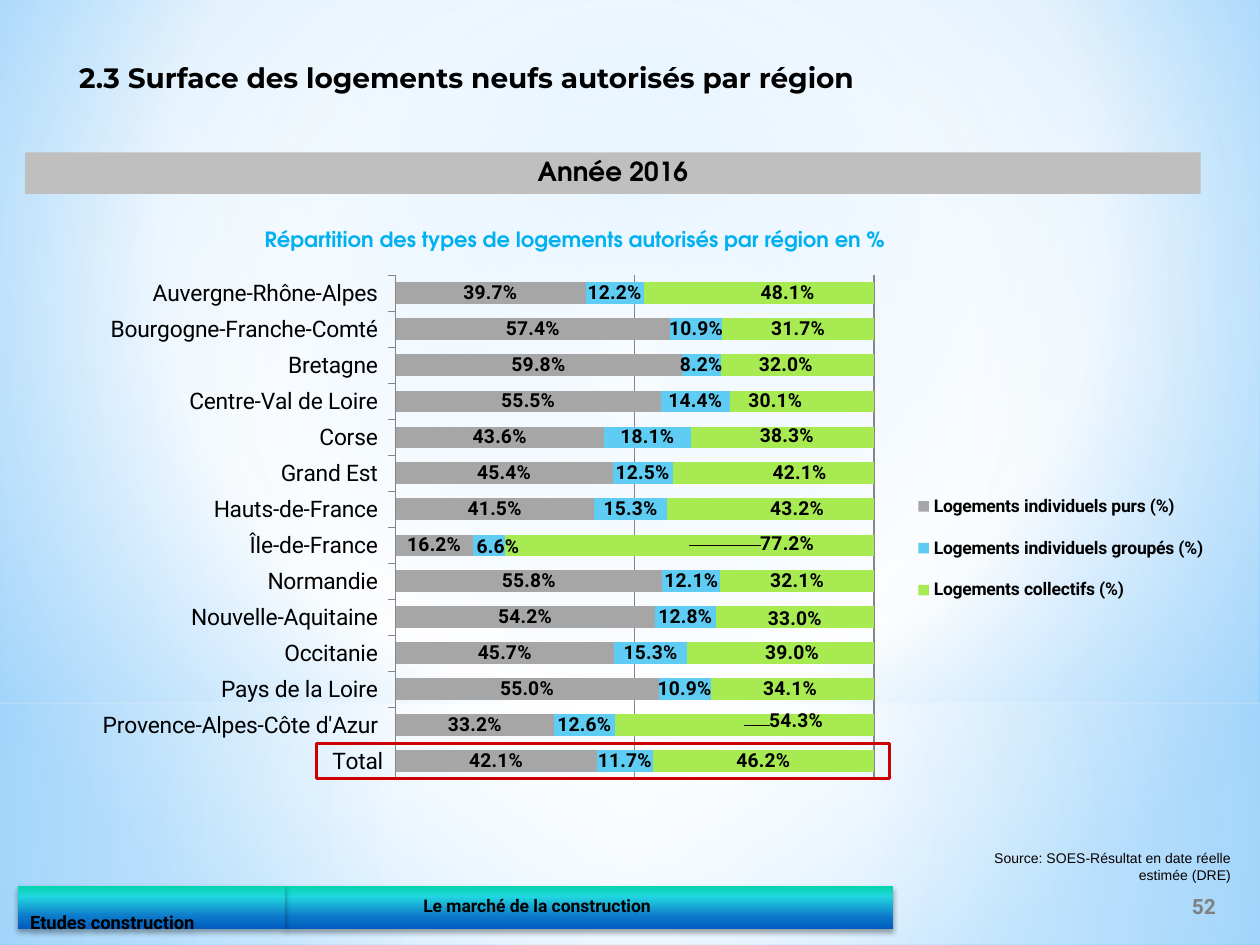
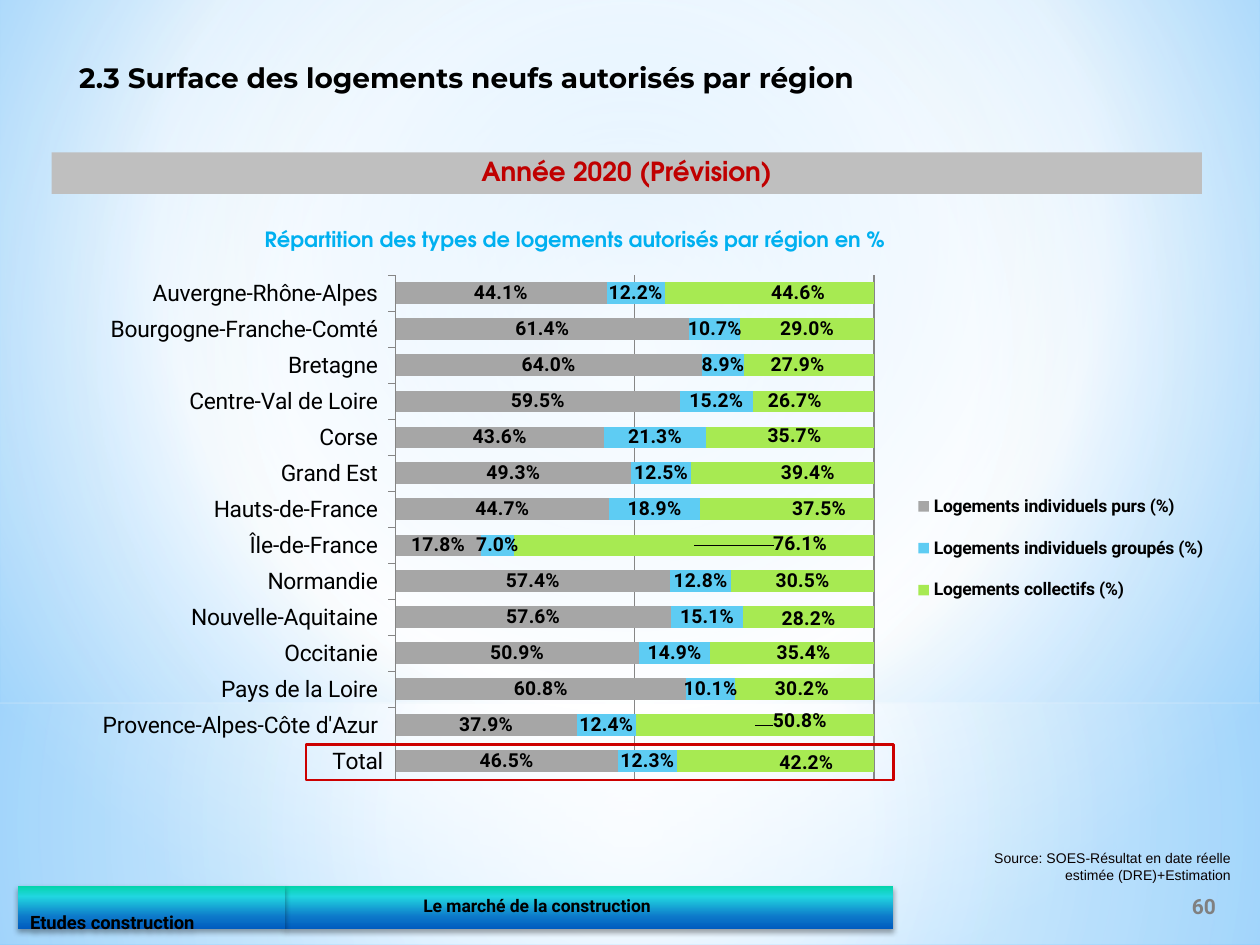
from dataclasses import dataclass, field
from typing import Any, Optional

import pptx
import pptx.chart.data
import pptx.dml.color
import pptx.enum.chart
import pptx.enum.shapes
import pptx.enum.text
import pptx.oxml
import pptx.oxml.ns
import pptx.util

COLORS = {
    "black": "000000", "source": "080000", "grey": "808080", "band": "BFBFBF",
    "axis": "868686", "subtitle": "00B0F0", "forecast": "C00000", "frame": "CC0000",
    "pure": "A6A6A6", "grouped": "5ECCF3", "collective": "A7EA52",
    "white": "FFFFFF", "haze": "B4DCFA", "sky": "9ED5FF", "azure": "5BB9FF",
    "mint": "03D4A8", "turquoise": "21D6E0", "ocean": "0D79CA", "navy": "005CBF",
}
BODY, HEAD, TITLE, PLAIN = "Roboto", "TeX Gyre Adventor", "Montserrat", "Arial"

# The slide is a grid of 100 columns by 75 rows.
WIDTH, HEIGHT = pptx.util.Inches(10), pptx.util.Inches(7.5)
COL, ROW = WIDTH / 100, HEIGHT / 75

ALIGN = pptx.enum.text.PP_ALIGN
ANCHOR = pptx.enum.text.MSO_ANCHOR
qn = pptx.oxml.ns.qn

REGIONS = [
    "Auvergne-Rhône-Alpes", "Bourgogne-Franche-Comté", "Bretagne", "Centre-Val de Loire",
    "Corse", "Grand Est", "Hauts-de-France", "Île-de-France", "Normandie",
    "Nouvelle-Aquitaine", "Occitanie", "Pays de la Loire", "Provence-Alpes-Côte d'Azur",
]
SERIES = {
    "Logements individuels purs (%)": "pure",
    "Logements individuels groupés (%)": "grouped",
    "Logements collectifs (%)": "collective",
}


@dataclass(frozen=True)
class Box:
    """A place on the grid, in columns and rows."""
    x: float
    y: float
    w: float
    h: float

    def emu(self) -> tuple[int, int, int, int]:
        return (round(self.x * COL), round(self.y * ROW),
                round(self.w * COL), round(self.h * ROW))


@dataclass(frozen=True)
class Style:
    size: float
    font: str = BODY
    color: str = "black"
    bold: bool = True
    align: Any = ALIGN.LEFT
    anchor: Any = ANCHOR.TOP
    spacing: Optional[float] = None
    wrap: bool = True
    insets: tuple[float, float] = (1, 0.5)  # left and top, in grid cells


@dataclass(frozen=True)
class Gradient:
    """Stops are (position %, colour, opacity %); focus is l, t, r, b in %."""
    stops: list[tuple[int, str, int]]
    focus: Optional[tuple[int, int, int, int]] = None


@dataclass(frozen=True)
class Year:
    band: Box
    heading: str
    heading_color: str
    source: str
    page: str
    total_frame: Box
    values: list[list[float]]
    # (series, row) -> shift of the label in % of the chart's width and height
    shifts: dict[tuple[int, int], tuple[float, float]] = field(default_factory=dict)


BACKDROP = Gradient([(0, "sky", 100), (60, "white", 100), (100, "azure", 100)], (20, 10, 20, 60))
VEILS = [
    (Box(0, 55.8, 100, 19.2),
     Gradient([(0, "white", 91), (37, "white", 76), (100, "haze", 79)], (50, 50, 50, 50))),
    (Box(0, 0, 100, 55.8),
     Gradient([(0, "white", 89), (48, "white", 62), (100, "haze", 79)], (50, 50, 50, 50))),
]
FOOTER_FILL = Gradient([(0, "mint", 100), (25, "turquoise", 100),
                        (72, "ocean", 100), (100, "navy", 100)])
FOOTERS = [
    (Box(22.6, 70.3, 48.3, 3.4), "Le marché de la construction",
     Style(10, anchor=ANCHOR.MIDDLE, spacing=0.9, insets=(11, 0))),
    (Box(1.4, 70.3, 21.2, 3.4), "Etudes construction",
     Style(10.5, spacing=0.9, insets=(1, 2.2))),
]
TITLE_STYLE = Style(16, TITLE)
SUBTITLE_STYLE = Style(12, HEAD, "subtitle", align=ALIGN.CENTER, spacing=0.9)
PAGE_STYLE = Style(12, color="grey", align=ALIGN.CENTER, anchor=ANCHOR.MIDDLE)
SOURCE_STYLE = Style(8, PLAIN, "source", False, ALIGN.RIGHT, ANCHOR.MIDDLE, wrap=False)

YEARS = [
    Year(Box(2, 12.1, 93.3, 3.3), "Année 2016", "black",
         "Source: SOES-Résultat en date réelle estimée (DRE)", "52",
         Box(25.1, 59, 45.5, 2.8),
         [[0.397, 0.574, 0.598, 0.555, 0.436, 0.454, 0.415,
           0.162, 0.558, 0.542, 0.457, 0.55, 0.332, 0.421],
          [0.122, 0.109, 0.082, 0.144, 0.181, 0.125, 0.153,
           0.066, 0.121, 0.128, 0.153, 0.109, 0.126, 0.117],
          [0.481, 0.317, 0.32, 0.301, 0.383, 0.421, 0.432,
           0.772, 0.321, 0.33, 0.39, 0.341, 0.543, 0.462]],
         {(1, 7): (0.8, 0.3), (2, 0): (2.5, 0), (2, 2): (-1, 0), (2, 3): (-2.3, 0),
          (2, 4): (0.4, -0.3), (2, 5): (2.3, 0), (2, 6): (2.3, 0), (2, 7): (8.5, -0.3),
          (2, 9): (0, 0.3), (2, 10): (1, 0), (2, 11): (-0.2, 0), (2, 12): (4.5, -0.7)}),
    Year(Box(4.1, 12.1, 91.3, 3.3), "Année 2020 (Prévision)", "forecast",
         "Source: SOES-Résultat en date réelle estimée (DRE)+Estimation", "60",
         Box(24.3, 59.1, 46.6, 2.8),
         [[0.441, 0.614, 0.64, 0.595, 0.436, 0.493, 0.447,
           0.178, 0.574, 0.576, 0.509, 0.608, 0.379, 0.465],
          [0.122, 0.107, 0.089, 0.152, 0.213, 0.125, 0.189,
           0.07, 0.128, 0.151, 0.149, 0.101, 0.124, 0.123],
          [0.446, 0.29, 0.279, 0.267, 0.357, 0.394, 0.375,
           0.761, 0.305, 0.282, 0.354, 0.302, 0.508, 0.422]],
         {(2, 0): (2.5, 0), (2, 2): (-1, 0), (2, 3): (-1.6, 0), (2, 4): (0.4, -0.3),
          (2, 5): (2.2, 0), (2, 6): (2.8, 0), (2, 7): (9.2, -0.3), (2, 9): (0, 0.3),
          (2, 10): (1, 0), (2, 11): (-0.2, 0), (2, 12): (3.9, -0.7), (2, 13): (2.7, 0.3)}),
]


def rgb(name: str) -> pptx.dml.color.RGBColor:
    return pptx.dml.color.RGBColor.from_string(COLORS[name])


def xml(tag: str, prefix: str, body: str) -> Any:
    return pptx.oxml.parse_xml(
        f"<{prefix}:{tag} {pptx.oxml.ns.nsdecls(prefix)}>{body}</{prefix}:{tag}>")


def set_gradient(fill: Any, element: Any, gradient: Gradient) -> None:
    fill.gradient()
    stops = "".join(
        f'<a:gs pos="{pos * 1000}"><a:srgbClr val="{COLORS[color]}">'
        f'<a:alpha val="{opacity * 1000}"/></a:srgbClr></a:gs>'
        for pos, color, opacity in gradient.stops)
    if gradient.focus:
        sides = " ".join(f'{side}="{v * 1000}"' for side, v in zip("ltrb", gradient.focus))
        course = f'<a:path path="circle"><a:fillToRect {sides}/></a:path>'
    else:
        course = '<a:lin ang="5400000" scaled="0"/>'
    old = next(element.iter(qn("a:gradFill")))
    old.getparent().replace(old, xml("gradFill", "a", f"<a:gsLst>{stops}</a:gsLst>{course}"))


def add_rect(slide: Any, box: Box) -> Any:
    """A rectangle without fill, line or shadow."""
    s = slide.shapes.add_shape(pptx.enum.shapes.MSO_SHAPE.RECTANGLE, *box.emu())
    s.shadow.inherit = False
    s.fill.background()
    s.line.fill.background()
    return s


def write(s: Any, text: str, style: Style) -> None:
    tf = s.text_frame
    tf.word_wrap = style.wrap
    tf.vertical_anchor = style.anchor
    left, top = style.insets
    tf.margin_left, tf.margin_top = round(left * COL), round(top * ROW)
    tf.margin_bottom = tf.margin_top if style.anchor == ANCHOR.MIDDLE else 0
    p = tf.paragraphs[0]
    p.alignment = style.align
    if style.spacing:
        p.line_spacing = style.spacing
    r = p.add_run()
    r.text = text
    r.font.size = pptx.util.Pt(style.size)
    r.font.name = style.font
    r.font.bold = style.bold
    r.font.color.rgb = rgb(style.color)


def add_text(slide: Any, box: Box, text: str, style: Style) -> None:
    write(slide.shapes.add_textbox(*box.emu()), text, style)


def add_shadow(s: Any) -> None:
    effects = s.element.spPr.find(qn("a:effectLst"))
    effects.append(xml("outerShdw", "a", '<a:srgbClr val="000000"><a:alpha val="35000"/></a:srgbClr>'))
    for key, value in {"blurRad": pptx.util.Pt(3.1), "dist": pptx.util.Pt(1.8),
                       "dir": 5400000, "rotWithShape": 0}.items():
        effects[0].set(key, str(int(value)))


def set_layout(parent: Any, position: int, box: tuple[float, float, float, float],
               target: str = "") -> None:
    """Place a chart part by hand, in shares of the chart's size."""
    for old in parent.findall(qn("c:layout")):
        parent.remove(old)
    parts = f'<c:layoutTarget val="{target}"/>' if target else ""
    parts += '<c:xMode val="edge"/><c:yMode val="edge"/>'
    parts += "".join(f'<c:{k} val="{v}"/>' for k, v in zip("xywh", box))
    parent.insert(position, xml("layout", "c", f"<c:manualLayout>{parts}</c:manualLayout>"))


def style_label_font(font: Any) -> None:
    font.size, font.bold, font.name = pptx.util.Pt(11), True, BODY
    font.color.rgb = rgb("black")


def shift_label(chart: Any, index: int, row: int, dx: float, dy: float) -> None:
    label = chart.plots[0].series[index].points[row].data_label
    style_label_font(label.font)
    label.position = pptx.enum.chart.XL_LABEL_POSITION.CENTER
    labels = list(chart.element.iter(qn("c:dLbls")))[index]
    idx = next(e for e in labels.iter(qn("c:idx")) if e.get("val") == str(row))
    number = xml("numFmt", "c", "")
    number.set("formatCode", "0.0%")
    number.set("sourceLinked", "0")
    idx.addnext(number)
    idx.addnext(xml("layout", "c", f'<c:manualLayout><c:x val="{dx / 100:.3f}"/>'
                                   f'<c:y val="{dy / 100:.3f}"/></c:manualLayout>'))


def add_share_chart(slide: Any, year: Year) -> None:
    data = pptx.chart.data.CategoryChartData(number_format="0.0%")
    data.categories = [f" {region} " for region in REGIONS] + ["Total"]
    for name, values in zip(SERIES, year.values):
        data.add_series(name, values)
    chart = slide.shapes.add_chart(pptx.enum.chart.XL_CHART_TYPE.BAR_STACKED,
                                   *Box(5.5, 20.3, 91.5, 46.9).emu(), data).chart
    chart.has_title = False
    chart.font.size, chart.font.name = pptx.util.Pt(18), BODY
    chart.font.color.rgb = rgb("black")

    regions, shares = chart.category_axis, chart.value_axis
    regions.reverse_order = True
    regions.major_tick_mark = pptx.enum.chart.XL_TICK_MARK.OUTSIDE
    regions.tick_labels.font.size = pptx.util.Pt(13)
    shares.minimum_scale, shares.maximum_scale, shares.major_unit = 0, 1, 0.5
    shares.has_major_gridlines = True
    shares.visible = False
    for line in (regions.format.line, shares.major_gridlines.format.line):
        line.color.rgb = rgb("axis")
        line.width = pptx.util.Pt(0.75)

    plot = chart.plots[0]
    plot.gap_width, plot.overlap, plot.vary_by_categories = 68, 100, False
    for series, color in zip(plot.series, SERIES.values()):
        series.format.fill.solid()
        series.format.fill.fore_color.rgb = rgb(color)
        labels = series.data_labels
        labels.show_value = True
        labels.number_format, labels.number_format_is_linked = "0.0%", False
        style_label_font(labels.font)
    for (index, row), (dx, dy) in year.shifts.items():
        shift_label(chart, index, row, dx, dy)

    chart.has_legend = True
    legend = chart.legend
    legend.position = pptx.enum.chart.XL_LEGEND_POSITION.RIGHT
    legend.include_in_layout = False
    legend.font.size, legend.font.bold = pptx.util.Pt(10), True
    set_layout(next(chart.element.iter(qn("c:legend"))), 1, (0.73, 0.37, 0.26, 0.25))
    set_layout(next(chart.element.iter(qn("c:plotArea"))), 0,
               (0.283, 0.033, 0.415, 0.853), "inner")


def add_surroundings(slide: Any, page: str) -> None:
    """Backdrop, title, footer and page number, shared by the slides."""
    set_gradient(slide.background.fill, slide.element, BACKDROP)
    for box, gradient in VEILS:
        s = add_rect(slide, box)
        set_gradient(s.fill, s.element, gradient)
    for box, text, style in FOOTERS:
        s = add_rect(slide, box)
        set_gradient(s.fill, s.element, FOOTER_FILL)
        add_shadow(s)
        write(s, text, style)
    add_text(slide, Box(92.6, 69.9, 5.9, 4), page, PAGE_STYLE)
    add_text(slide, Box(5.3, 4.3, 80.8, 4.4),
             "2.3 Surface des logements neufs autorisés par région", TITLE_STYLE)


def add_year_slide(prs: Any, year: Year) -> None:
    slide = prs.slides.add_slide(prs.slide_layouts[6])
    add_surroundings(slide, year.page)
    band = add_rect(slide, year.band)
    band.fill.solid()
    band.fill.fore_color.rgb = rgb("band")
    write(band, year.heading,
          Style(15, HEAD, year.heading_color, align=ALIGN.CENTER, spacing=0.9))
    add_share_chart(slide, year)
    add_text(slide, Box(6.6, 17.7, 78.1, 2.8),
             "Répartition des types de logements autorisés par région en %", SUBTITLE_STYLE)
    frame = add_rect(slide, year.total_frame)
    frame.line.color.rgb = rgb("frame")
    frame.line.width = pptx.util.Pt(1.5)
    add_text(slide, Box(76.6, 67.2, 22.1, 3.1), year.source, SOURCE_STYLE)


def main() -> None:
    prs = pptx.Presentation()
    prs.slide_width, prs.slide_height = WIDTH, HEIGHT
    for year in YEARS:
        add_year_slide(prs, year)
    prs.save("out.pptx")


if __name__ == "__main__":
    main()
